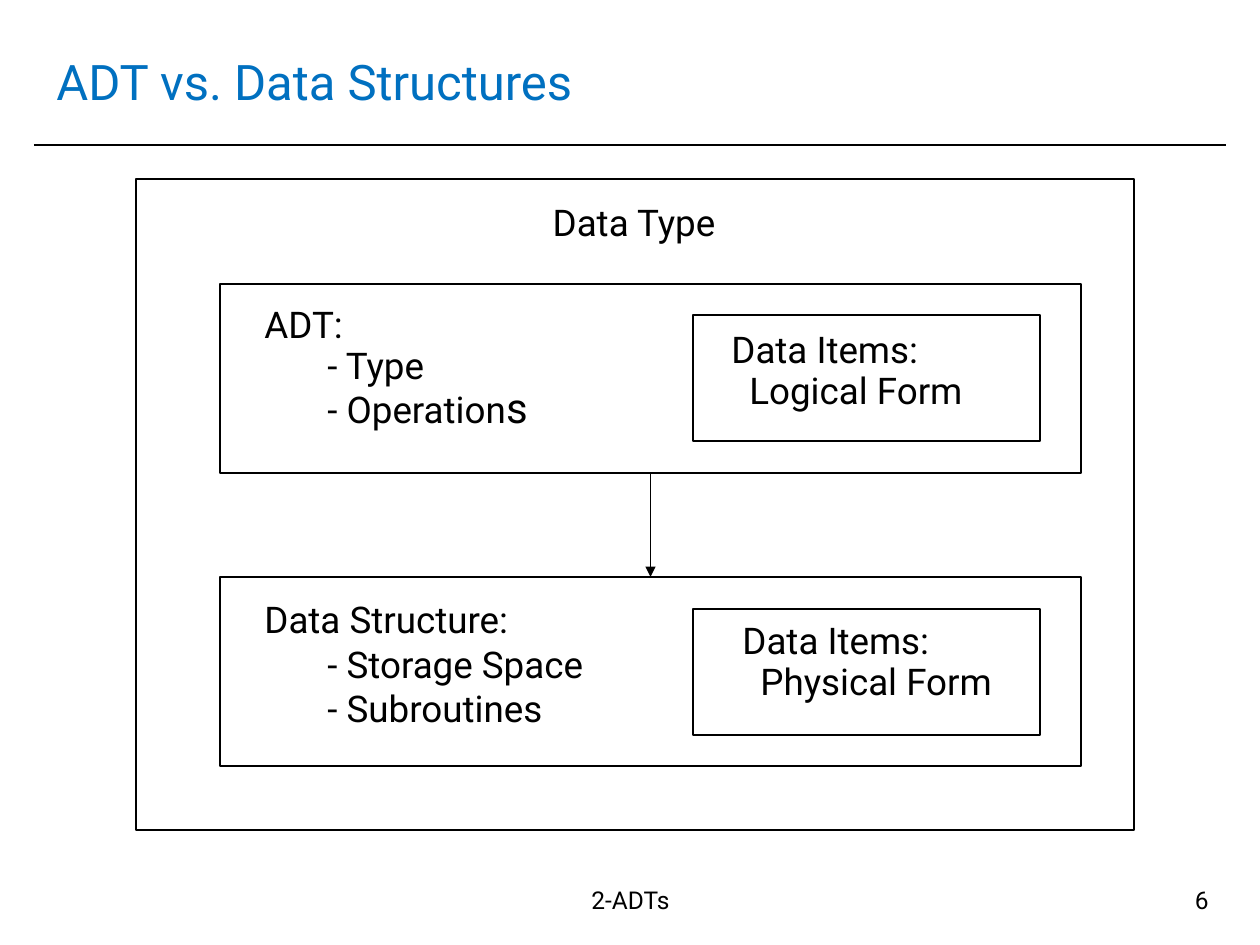
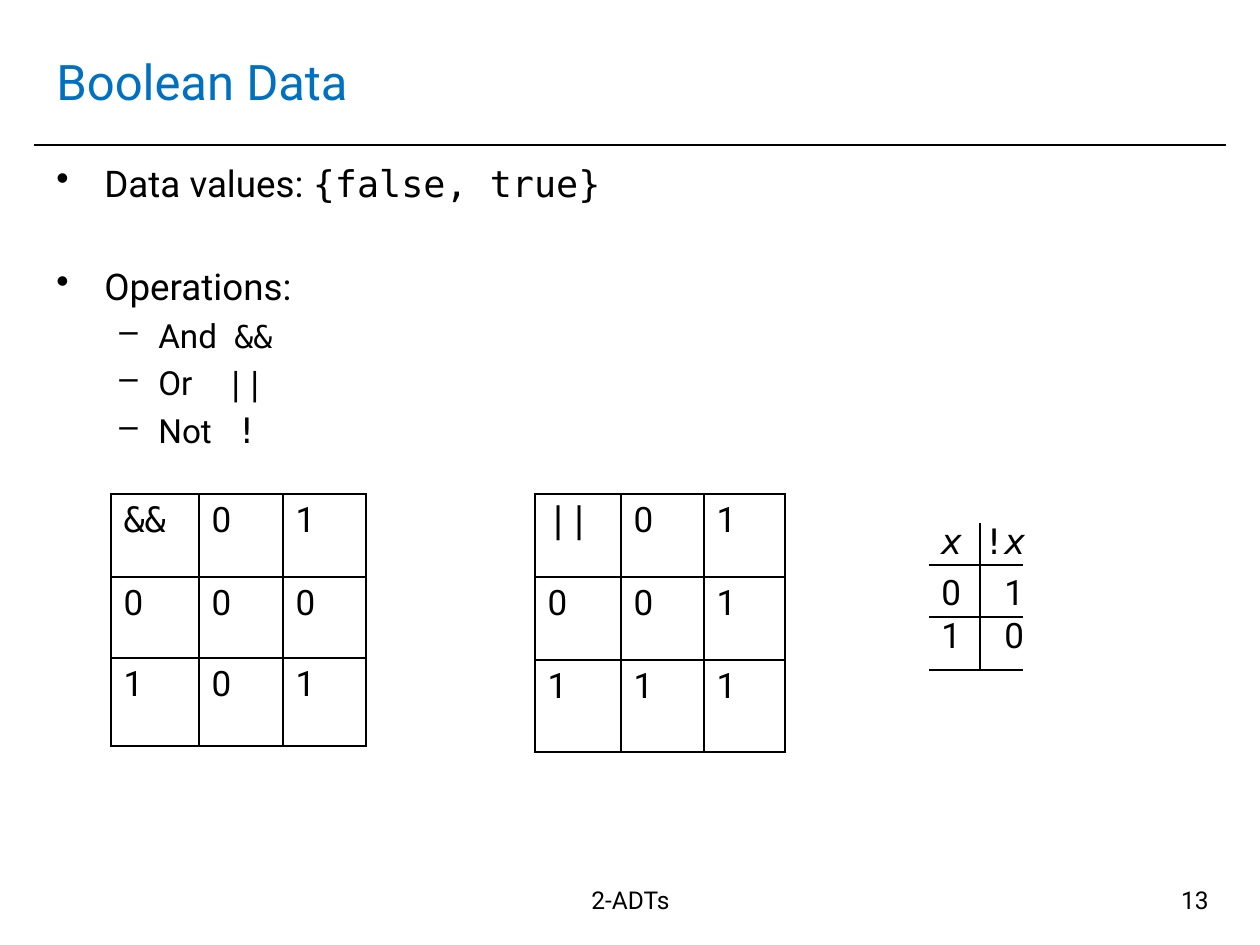
"""Build two slides on abstract data types and Boolean data."""
import dataclasses

import lxml.etree
import pptx
import pptx.dml.color
import pptx.enum.shapes
import pptx.enum.text
import pptx.oxml
import pptx.oxml.ns
import pptx.util

EMU_PER_PX = 914400 / 126
ALIGN = pptx.enum.text.PP_ALIGN


@dataclasses.dataclass(frozen=True)
class Theme:
    ink: str = "000000"
    title_ink: str = "0070C0"
    sans: str = "Roboto"
    mono: str = "DejaVu Sans Mono"
    title: int = 28
    body: int = 21
    sub: int = 19
    cell: int = 20
    footer: int = 14
    hairline: float = 0.75
    rule: float = 1


THEME = Theme()


@dataclasses.dataclass
class Span:
    text: str
    size: int = THEME.body
    font: str = THEME.sans
    color: str = THEME.ink
    italic: bool = False


@dataclasses.dataclass
class Line:
    spans: list
    level: int = 0
    margin: int = 0
    hanging: int = 0
    before: float = 0
    spacing: float = 1
    bullet: str = ""
    tab: int = 0
    align: ALIGN = ALIGN.LEFT


def px(length):
    return pptx.util.Emu(round(length * EMU_PER_PX))


def rgb(color):
    return pptx.dml.color.RGBColor.from_string(color)


def add_element(parent, tag, **attributes):
    element = lxml.etree.SubElement(parent, pptx.oxml.ns.qn(tag))
    for key, value in attributes.items():
        element.set(key, str(value))
    return element


def write_line(paragraph, line):
    paragraph.level = line.level
    paragraph.alignment = line.align
    paragraph.space_before = pptx.util.Pt(line.before)
    paragraph.line_spacing = line.spacing
    properties = paragraph._p.get_or_add_pPr()
    properties.set("marL", str(px(line.margin)))
    properties.set("indent", str(px(-line.hanging)))
    if line.bullet:
        color = add_element(properties, "a:buClr")
        add_element(color, "a:srgbClr", val=THEME.ink)
        add_element(properties, "a:buChar", char=line.bullet)
    if line.tab:
        stops = add_element(properties, "a:tabLst")
        add_element(stops, "a:tab", pos=px(line.tab), algn="l")
    for span in line.spans:
        run = paragraph.add_run()
        run.text = span.text
        run.font.size = pptx.util.Pt(span.size)
        run.font.name = span.font
        run.font.italic = span.italic
        run.font.color.rgb = rgb(span.color)


def add_text(slide, left, top, width, height, *lines, middle=False):
    frame = slide.shapes.add_textbox(px(left), px(top), px(width), px(height)).text_frame
    frame.word_wrap = True
    if middle:
        frame.vertical_anchor = pptx.enum.text.MSO_ANCHOR.MIDDLE
    for index, line in enumerate(lines):
        write_line(frame.add_paragraph() if index else frame.paragraphs[0], line)


def add_frame(slide, left, top, width, height):
    frame = slide.shapes.add_shape(
        pptx.enum.shapes.MSO_SHAPE.RECTANGLE, px(left), px(top), px(width), px(height))
    frame.shadow.inherit = False
    frame.fill.background()
    frame.line.color.rgb = rgb(THEME.ink)
    frame.line.width = pptx.util.Pt(THEME.hairline)
    return frame


def add_rule(slide, x1, y1, x2, y2, weight=THEME.rule):
    rule = slide.shapes.add_connector(
        pptx.enum.shapes.MSO_CONNECTOR.STRAIGHT, px(x1), px(y1), px(x2), px(y2))
    rule.line.color.rgb = rgb(THEME.ink)
    rule.line.width = pptx.util.Pt(weight)
    add_element(rule._element.spPr, "a:effectLst")
    return rule


def add_arrow_down(slide, source, target):
    arrow = add_rule(slide, 0, 0, 0, 0, THEME.hairline)
    arrow.begin_connect(source, 2)
    arrow.end_connect(target, 0)
    add_element(arrow.line._get_or_add_ln(), "a:tailEnd", type="triangle")


def border_cell(cell):
    properties = cell._tc.get_or_add_tcPr()
    for side in ("a:lnL", "a:lnR", "a:lnT", "a:lnB"):
        edge = add_element(properties, side, w=pptx.util.Pt(THEME.rule))
        fill = add_element(edge, "a:solidFill")
        add_element(fill, "a:srgbClr", val=THEME.ink)
    cell.fill.background()


def add_truth_table(slide, left, top, widths, heights, operator, results):
    table = slide.shapes.add_table(
        3, 3, px(left), px(top), px(sum(widths)), px(sum(heights))).table
    table.first_row = table.horz_banding = False
    for column, width in zip(table.columns, widths):
        column.width = px(width)
    for row, height in zip(table.rows, heights):
        row.height = px(height)
    rows = [operator + "01"] if len(operator) == 1 else [[operator, "0", "1"]]
    rows += [[str(operand), *values] for operand, values in enumerate(results)]
    for r, values in enumerate(rows):
        for c, value in enumerate(values):
            cell = table.cell(r, c)
            font = THEME.mono if value == operator else THEME.sans
            write_line(cell.text_frame.paragraphs[0], Line([Span(value, THEME.cell, font)]))
            border_cell(cell)


def add_base_slide(deck, title, number):
    slide = deck.slides.add_slide(deck.slide_layouts[6])
    add_rule(slide, 34, 145, 1226, 145)
    heading = Span(title, THEME.title, color=THEME.title_ink)
    add_text(slide, 44, 27, 1170, 107, Line([heading]), middle=True)
    add_text(slide, 422, 879, 417, 65,
             Line([Span("2-ADTs", THEME.footer)], align=ALIGN.CENTER))
    add_text(slide, 927, 879, 294, 65,
             Line([Span(str(number), THEME.footer)], align=ALIGN.RIGHT))
    return slide


def add_data_items(slide, left, top, form):
    add_text(slide, left, top, 345, 82,
             Line([Span("Data Items:")], spacing=0.5),
             Line([Span(form)], margin=18, before=10.5, spacing=0.5))


def build_comparison(deck):
    slide = add_base_slide(deck, "ADT vs. Data Structures", 6)
    add_frame(slide, 136, 179, 998, 651)
    add_text(slide, 340, 194, 588, 57, Line([Span("Data Type")], align=ALIGN.CENTER))
    adt, structure = [add_frame(slide, 220, top, 861, 189) for top in (284, 577)]
    add_arrow_down(slide, adt, structure)
    for top in (315, 609):
        add_frame(slide, 693, top, 347, 126)

    tight = dict(level=1, margin=63, before=10.5, spacing=0.5)
    add_text(slide, 252, 315, 347, 132,
             Line([Span("ADT:")], spacing=0.5),
             Line([Span("- Type")], **tight),
             Line([Span("- Operation"), Span("s", 24)], **{**tight, "before": 11}))
    add_text(slide, 252, 591, 349, 146,
             Line([Span("Data Structure:")]),
             *[Line([Span(part)], level=1, margin=63)
               for part in ("- Storage Space", "- Subroutines")])
    add_data_items(slide, 719, 340, "Logical Form")
    add_data_items(slide, 730, 631, "Physical Form")


def build_boolean(deck):
    slide = add_base_slide(deck, "Boolean Data", 13)
    topic = dict(margin=48, hanging=48, bullet="•")
    operations = [("And", "&&", 18, 178), ("Or", "||", 18, 170), ("Not", "!", 20, 180)]
    add_text(slide, 44, 155, 1170, 318,
             Line([Span("Data values: "), Span("{false, true}", font=THEME.mono)], **topic),
             Line([Span("Operations:")], before=33.6, **topic),
             *[Line([Span(name + "\t", THEME.sub), Span(symbol, size, THEME.mono)],
                    level=1, margin=102, hanging=39, before=4, bullet="–", tab=tab)
               for name, symbol, size, tab in operations])

    x = Span("x", THEME.cell, THEME.mono, italic=True)
    add_text(slide, 929, 513, 199, 55, Line([x, Span(" !", THEME.cell, THEME.mono), x]))
    for top, values in ((564, "0\t1"), (607, "1\t0")):
        add_text(slide, 929, top, 199, 55, Line([Span(values, THEME.cell)], tab=54))
    add_rule(slide, 980, 523, 980, 670)
    for y in (565, 617, 670):
        add_rule(slide, 929, y, 1023, y)

    add_truth_table(slide, 111, 494, (88, 84, 83), (83, 81, 88), "&&", ("00", "01"))
    add_truth_table(slide, 535, 494, (86, 83, 81), (83, 83, 92), "||", ("01", "11"))


def main():
    deck = pptx.Presentation()
    deck.slide_width, deck.slide_height = px(1260), px(945)
    build_comparison(deck)
    build_boolean(deck)
    deck.save("out.pptx")


if __name__ == "__main__":
    main()
